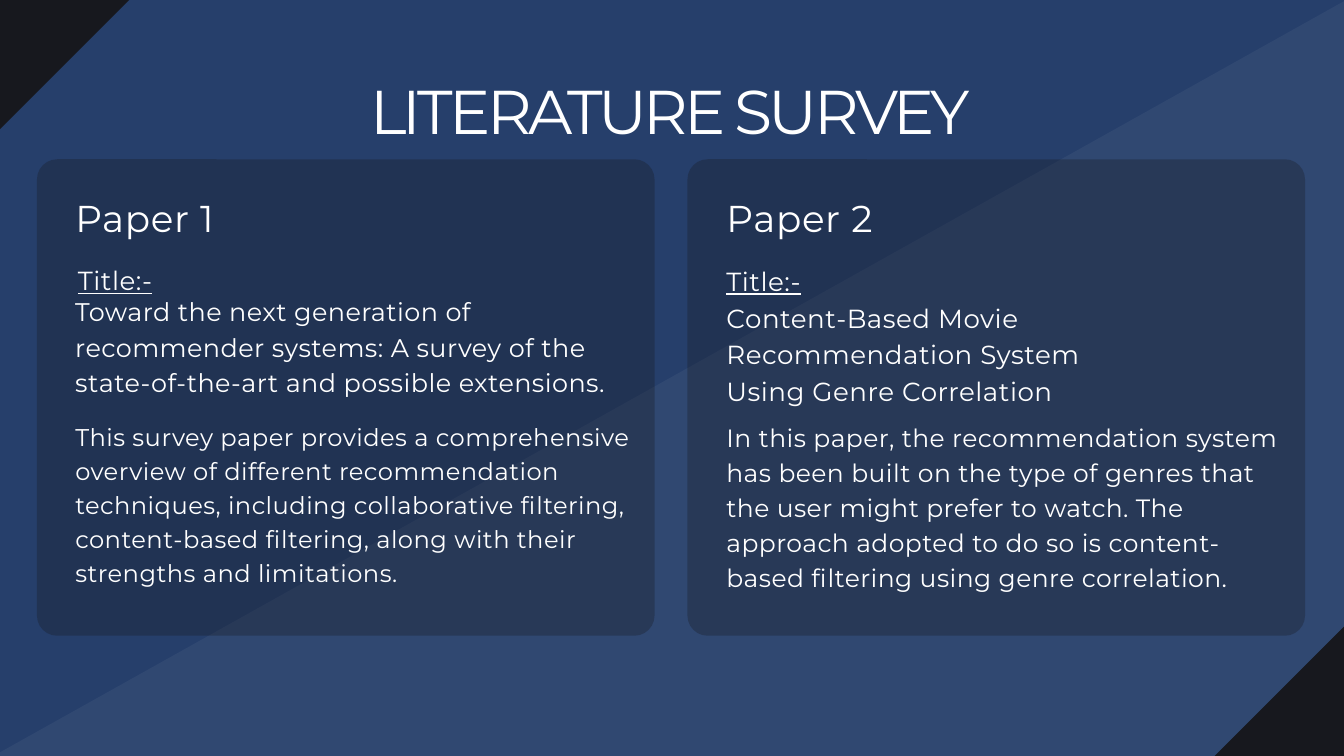
"""Build the literature survey slide with two paper panels."""
from pptx import Presentation
from pptx.dml.color import RGBColor
from pptx.enum.shapes import MSO_SHAPE
from pptx.enum.text import MSO_ANCHOR, MSO_AUTO_SIZE, PP_ALIGN
from pptx.oxml.ns import qn
from pptx.util import Inches, Pt
from lxml.etree import SubElement

NAVY = RGBColor(0x26, 0x3F, 0x6B)
INK = RGBColor(0x17, 0x18, 0x1E)
PALE = RGBColor(0xF4, 0xF4, 0xF4)
WHITE = RGBColor(0xFF, 0xFF, 0xFF)
COLUMN = ROW = Inches(1)
COLUMNS, ROWS = 20, 11.25
PANEL_STEP = 9.68
FRAME = {"margin_left": 0, "margin_top": 0, "margin_right": 0, "margin_bottom": 0,
         "word_wrap": True, "auto_size": MSO_AUTO_SIZE.NONE, "vertical_anchor": MSO_ANCHOR.TOP}


def add_block(kind, left, top, width, height, color, opacity=100, rotation=0):
    shape = slide.shapes.add_shape(kind, int(left * COLUMN), int(top * ROW),
                                   int(width * COLUMN), int(height * ROW))
    shape.shadow.inherit = False
    shape.rotation = rotation
    shape.fill.solid()
    shape.fill.fore_color.rgb = color
    shape.line.fill.background()
    if opacity < 100:
        fill_color = shape.fill._xPr.find(qn("a:solidFill"))[0]
        SubElement(fill_color, qn("a:alpha"), val=str(opacity * 1000))
    return shape


def write_text(shape, lines, size, leading, spacing, align=PP_ALIGN.LEFT, underlined=()):
    frame = shape.text_frame
    for name, value in FRAME.items():
        setattr(frame, name, value)
    frame.text = "\n".join(lines)
    for paragraph in frame.paragraphs:
        paragraph.alignment = align
        paragraph.line_spacing = Pt(leading)
        paragraph.space_before = Pt(0)
        run = paragraph.runs[0]
        style = {"name": "Montserrat", "size": Pt(size), "underline": run.text in underlined}
        for name, value in style.items():
            setattr(run.font, name, value)
        run.font.color.rgb = WHITE
        run._r.get_or_add_rPr().set("spc", str(int(spacing * 100)))


presentation = Presentation()
presentation.slide_width = int(COLUMNS * COLUMN)
presentation.slide_height = int(ROWS * ROW)
slide = presentation.slides.add_slide(presentation.slide_layouts[5])
slide.background.fill.solid()
slide.background.fill.fore_color.rgb = NAVY

title = slide.shapes.title
title_place = {"left": 4.14 * COLUMN, "top": 1.28 * ROW, "width": 11.67 * COLUMN, "height": 0.94 * ROW}
for name, value in title_place.items():
    setattr(title, name, int(value))
write_text(title, ["LITERATURE SURVEY"], 66.2, 64.9, -3.9, PP_ALIGN.CENTER)

band = add_block(MSO_SHAPE.RECTANGLE, -1.22, 4.76, 28.2, 10.48, PALE, 5, 330.8)
slide.shapes._spTree.insert(2, band._element)

corner_width, corner_height = 5.79, 2.72
for center_x, center_y in ((0, 0), (COLUMNS, ROWS)):
    add_block(MSO_SHAPE.RECTANGLE, center_x - corner_width / 2, center_y - corner_height / 2,
              corner_width, corner_height, INK, rotation=315)

for panel in range(2):
    card = add_block(MSO_SHAPE.ROUNDED_RECTANGLE, 0.55 + panel * PANEL_STEP, 2.37, 9.19, 7.09, INK, 30)
    card.adjustments[0] = 0.3 / 7.09

TEXTS = [
    (0, 1.12, 3.01, 6.45, 0.57, ["Paper 1"], 40, 40, 0.8),
    (0, 1.16, 3.86, 6.45, 0.52, ["Title:-"], 28, 39.2, 0.6),
    (0, 1.12, 4.33, 7.97, 1.55,
     ["Toward the next generation of recommender systems: A survey of the "
      "state-of-the-art and possible extensions."], 27.3, 38.2, 0.5),
    (0, 1.12, 6.22, 8.32, 2.48,
     ["This survey paper provides a comprehensive overview of different recommendation "
      "techniques, including collaborative filtering, content-based filtering, along with "
      "their strengths and limitations."], 25.9, 36.2, 0.5),
    (1, 1.13, 3.01, 6.41, 0.57, ["Paper 2"], 40, 40, 0.8),
    (1, 1.13, 3.87, 6.41, 2.68,
     ["Title:-", "Content-Based Movie Recommendation System Using Genre Correlation"], 28, 39.2, 0.6),
    (1, 1.13, 6.21, 8.3, 2.54,
     ["In this paper, the recommendation system has been built on the type of genres that "
      "the user might prefer to watch. The approach adopted to do so is content-based "
      "filtering using genre correlation."], 26.8, 37.5, 0.5),
]
for panel, left, top, width, height, lines, size, leading, spacing in TEXTS:
    box = slide.shapes.add_textbox(int((left + panel * PANEL_STEP) * COLUMN), int(top * ROW),
                                   int(width * COLUMN), int(height * ROW))
    write_text(box, lines, size, leading, spacing, underlined=("Title:-",))

presentation.save("out.pptx")
